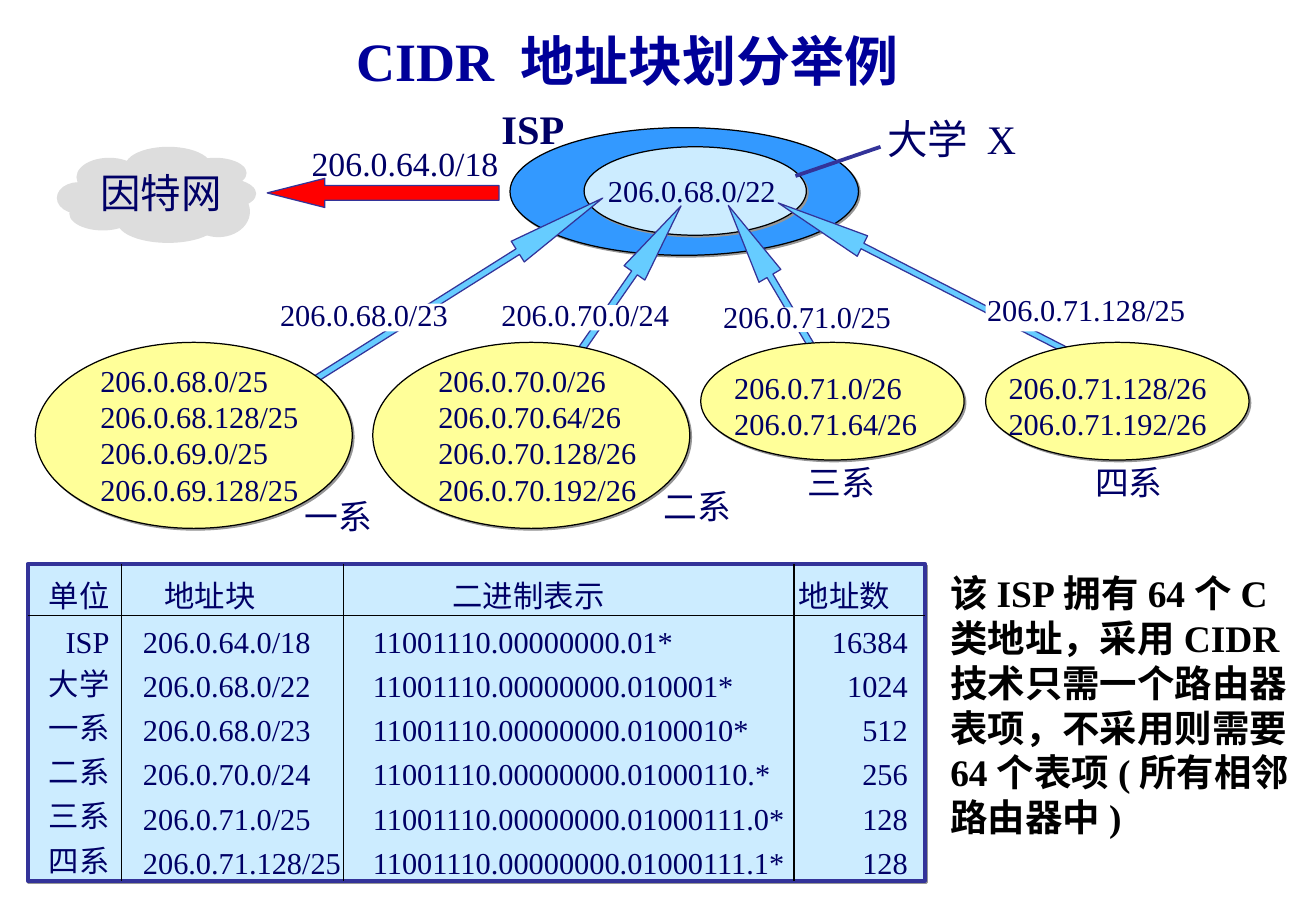
from lxml import etree
from pptx import Presentation
from pptx.dml.color import RGBColor
from pptx.enum import shapes, text
from pptx.oxml import ns, parse_xml
from pptx.util import Cm, Pt

FONT = "Times New Roman"
NAVY, INDIGO, BLACK, WHITE = "000066", "333399", "000000", "FFFFFF"
KIND = shapes.MSO_SHAPE
color = RGBColor.from_string

deck = Presentation()
deck.slide_width, deck.slide_height = Cm(27.53), Cm(19.05)
page = deck.slides.add_slide(deck.slide_layouts[6])


def add_text(lines, left, top, width, height, size=18, ink=NAVY, bold=False,
             wrap=False, align=text.PP_ALIGN.LEFT, anchor=text.MSO_ANCHOR.TOP):
    box = page.shapes.add_textbox(Cm(left), Cm(top), Cm(width), Cm(height))
    frame = box.text_frame
    frame.word_wrap = wrap
    frame.vertical_anchor = anchor
    frame.text = lines
    for para in frame.paragraphs:
        para.alignment = align
        para.font.name, para.font.size, para.font.bold = FONT, Pt(size), bold
        para.font.color.rgb = color(ink)


def add_figure(kind, left, top, width, height, fill, line=None, weight=0.75,
               shadow=False, parent=page):
    figure = parent.shapes.add_shape(kind, Cm(left), Cm(top), Cm(width), Cm(height))
    figure.shadow.inherit = False
    figure.fill.solid()
    figure.fill.fore_color.rgb = color(fill)
    if line:
        figure.line.color.rgb = color(line)
        figure.line.width = Pt(weight)
    else:
        figure.line.fill.background()
    if shadow:
        effects = figure._element.spPr.find(ns.qn("a:effectLst"))
        effects.append(parse_xml(
            f'<a:outerShdw {ns.nsdecls("a")} dist="17961" dir="2700000">'
            '<a:srgbClr val="969696"/></a:outerShdw>'))
    return figure


add_text("CIDR 地址块划分举例", 2.31, 0.13, 21.64, 1.93, size=32, ink="000099", bold=True,
         wrap=True, align=text.PP_ALIGN.CENTER, anchor=text.MSO_ANCHOR.BOTTOM)

# Internet cloud
cloud = page.shapes.add_group_shape()
for puff in [
    (2.62, 3.07, 1.8, 0.81), (1.6, 3.3, 1.37, 0.81), (1.19, 3.81, 0.91, 0.66),
    (1.45, 4.11, 1.4, 0.71), (2.46, 4.22, 2.11, 0.86), (3.84, 3.3, 1.32, 0.64),
    (4.04, 3.73, 1.32, 0.64), (3.91, 3.89, 1.32, 1.07), (1.93, 3.56, 2.72, 1.07),
]:
    add_figure(KIND.OVAL, *puff, "DDDDDD", parent=cloud)
add_text("因特网", 1.85, 3.38, 3.2, 1.27, size=24)

# Provider and university
add_figure(KIND.OVAL, 10.67, 2.67, 7.29, 2.67, "3399FF", BLACK, shadow=True)
add_figure(KIND.OVAL, 12.22, 3.07, 4.65, 1.85, "CCECFF", BLACK, shadow=True)
add_text("206.0.68.0/22", 12.47, 3.48, 4.2, 1.02)
add_text("206.0.64.0/18", 6.27, 2.87, 4.6, 1.12, size=20)
uplink = add_figure(KIND.LEFT_ARROW, 5.59, 3.73, 4.85, 0.61, "FF0000", INDIGO)
uplink.adjustments[0], uplink.adjustments[1] = 0.5, 1.98
add_text("ISP", 10.24, 2.06, 2, 1.27, size=24, bold=True)
add_text("大学 X", 18.31, 2.26, 3.5, 1.27, size=24)
leader = page.shapes.add_connector(
    shapes.MSO_CONNECTOR.STRAIGHT, Cm(16.64), Cm(3.68), Cm(18.42), Cm(3.07))
leader.line.color.rgb = color(INDIGO)
leader.line.width = Pt(2.25)
etree.SubElement(leader._element.spPr, ns.qn("a:effectLst"))

# Arrows from the departments: frame, rotation, head length
for frame, angle, head in [
    ((5.74, 5.87, 7.44, 0.51), 147.8, 4.12),
    ((9.58, 6.48, 5.94, 0.53), 124.8, 3.22),
    ((13.77, 6.6, 5.97, 0.53), 59.4, 3.23),
    ((15.9, 5.59, 6.96, 0.48), 27.1, 4.12),
]:
    arrow = add_figure(KIND.LEFT_ARROW, *frame, "66CCFF", INDIGO)
    arrow.rotation = angle
    arrow.adjustments[0], arrow.adjustments[1] = 0.27, head

# Departments: name and its place, oval, address blocks and their place
for name, name_at, oval, blocks, blocks_at in [
    ("一系", (6.12, 10.24), (0.74, 7.16, 6.63, 3.89),
     "206.0.68.0/25\n206.0.68.128/25\n206.0.69.0/25\n206.0.69.128/25",
     (1.85, 7.44, 5, 3.3)),
    ("二系", (13.64, 10.03), (7.8, 7.16, 6.63, 3.89),
     "206.0.70.0/26\n206.0.70.64/26\n206.0.70.128/26\n206.0.70.192/26",
     (8.92, 7.44, 5, 3.3)),
    ("三系", (16.64, 9.53), (14.66, 7.16, 5.51, 2.46),
     "206.0.71.0/26\n206.0.71.64/26", (15.11, 7.59, 5, 1.78)),
    ("四系", (22.66, 9.53), (20.62, 7.16, 5.51, 2.46),
     "206.0.71.128/26\n206.0.71.192/26", (20.85, 7.59, 5, 1.78)),
]:
    add_figure(KIND.OVAL, *oval, "FFFF99", BLACK, shadow=True)
    add_text(blocks, *blocks_at)
    add_text(name, *name_at, 2.4, 1.12, size=20)

# Arrow labels, each on a white patch
for prefix, patch, label_at in [
    ("206.0.68.0/23", (5.82, 6.35, 3.73, 0.58), (5.61, 6.07)),
    ("206.0.70.0/24", (10.46, 6.38, 3.76, 0.53), (10.24, 6.07)),
    ("206.0.71.0/25", (15.09, 6.43, 3.73, 0.51), (14.88, 6.1)),
    ("206.0.71.128/25", (20.62, 6.35, 4.39, 0.58), (20.4, 5.97)),
]:
    add_figure(KIND.RECTANGLE, *patch, WHITE)
    add_text(prefix, *label_at, 4.85, 1.02)

# Address table on a framed panel
rows = [
    ("单位", "地址块", "二进制表示", "地址数"),
    ("ISP", "206.0.64.0/18", "11001110.00000000.01*", "16384"),
    ("大学", "206.0.68.0/22", "11001110.00000000.010001*", "1024"),
    ("一系", "206.0.68.0/23", "11001110.00000000.0100010*", "512"),
    ("二系", "206.0.70.0/24", "11001110.00000000.01000110.*", "256"),
    ("三系", "206.0.71.0/25", "11001110.00000000.01000111.0*", "128"),
    ("四系", "206.0.71.128/25", "11001110.00000000.01000111.1*", "128"),
]
widths = [1.96, 4.65, 9.42, 2.74]
header_indents = [0, 0.9, 2.28, 0.1]
body_indents = [0, 0.45, 0.61, 0]
right_margins = [0.25, 0, 0, 0.36]
header_height, panel_height = 1.09, 6.63
panel = (0.58, 11.79, sum(widths), panel_height)
add_figure(KIND.RECTANGLE, *panel, "CCECFF", INDIGO, weight=2.25, shadow=True)
table = page.shapes.add_table(len(rows), len(widths), *map(Cm, panel)).table
table.first_row = table.horz_banding = False
for column, width in zip(table.columns, widths):
    column.width = Cm(width)
for r, row in enumerate(rows):
    row_height = header_height if r == 0 else (panel_height - header_height) / (len(rows) - 1)
    table.rows[r].height = Cm(row_height)
    for c, value in enumerate(row):
        cell = table.cell(r, c)
        cell.text = value
        cell.vertical_anchor = text.MSO_ANCHOR.BOTTOM
        cell.margin_top = cell.margin_bottom = 0
        cell.margin_left = Cm((body_indents if r else header_indents)[c])
        cell.margin_right = Cm(right_margins[c])
        para = cell.text_frame.paragraphs[0]
        to_right = c == 0 or (c == 3 and r > 0)
        para.alignment = text.PP_ALIGN.RIGHT if to_right else text.PP_ALIGN.LEFT
        para.font.name, para.font.size = FONT, Pt(18)
        para.font.color.rgb = color(NAVY)
        ruled = {"lnL": c > 0, "lnR": c < len(widths) - 1, "lnT": r == 1, "lnB": r == 0}
        for side, drawn in ruled.items():
            paint = (f'<a:solidFill><a:srgbClr val="{BLACK}"/></a:solidFill>'
                     if drawn else "<a:noFill/>")
            cell._tc.get_or_add_tcPr().append(parse_xml(
                f'<a:{side} {ns.nsdecls("a")} w="9525">{paint}</a:{side}>'))
        cell.fill.background()

add_text("该ISP拥有64个C类地址，采用CIDR技术只需一个路由器表项，不采用则需要64个表项(所有相邻路由器中)",
         19.63, 11.79, 7.9, 6.5, size=22.2, ink=BLACK, bold=True, wrap=True)

deck.save("out.pptx")
